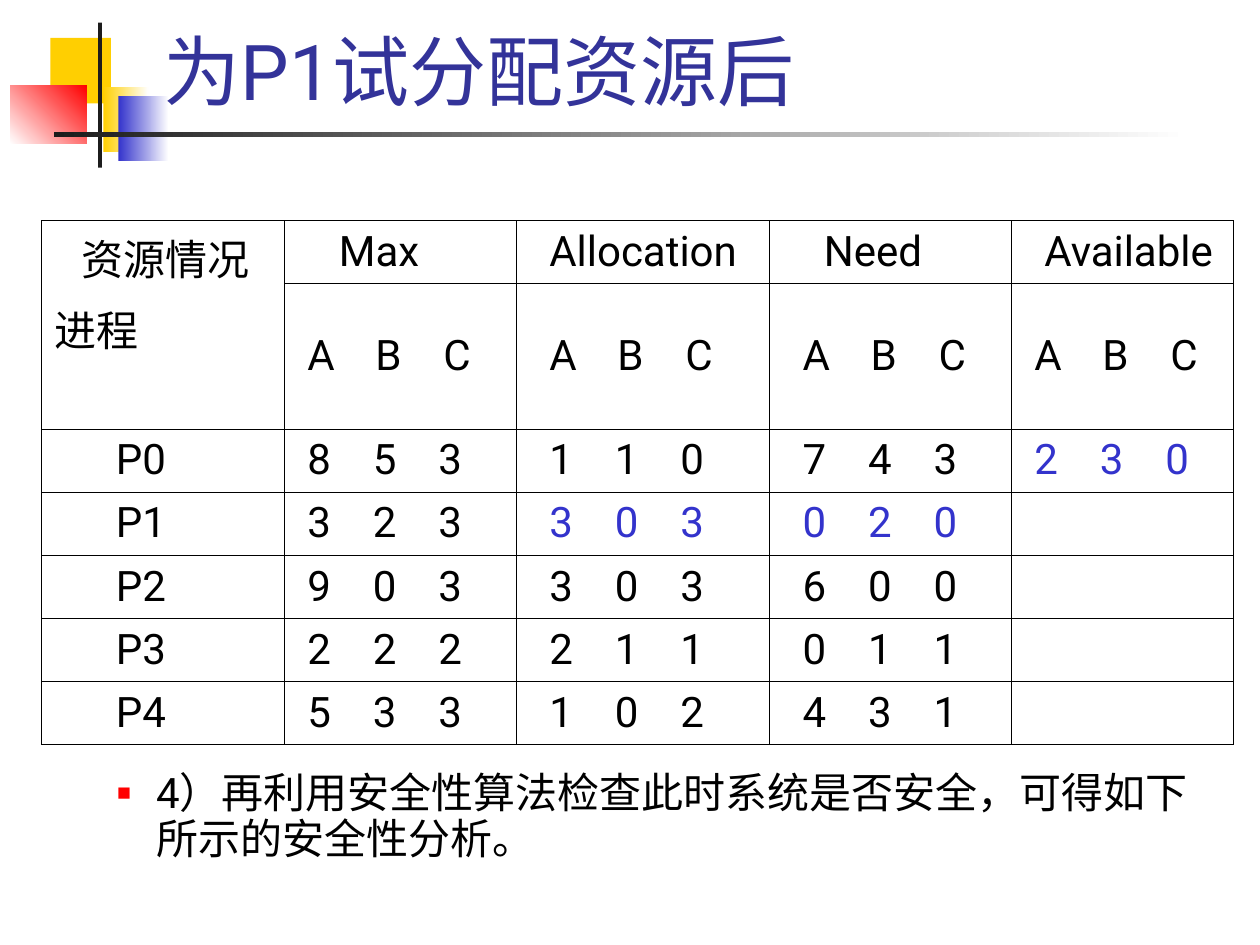
from lxml.etree import SubElement
from pptx import Presentation
from pptx.dml.color import RGBColor
from pptx.enum.shapes import MSO_SHAPE
from pptx.enum.text import MSO_ANCHOR, MSO_AUTO_SIZE, PP_ALIGN
from pptx.oxml.ns import qn
from pptx.util import Inches, Pt

FONT = "Roboto"
BLACK, BLUE = "000000", "3333CC"


def color(value):
    return RGBColor.from_string(value)


def apply(target, values):
    for name, value in values.items():
        setattr(target, name, value)


def write(para, text, size=24, ink=BLACK):
    span = para.add_run()
    span.text = text
    apply(span.font, {"size": Pt(size), "name": FONT, "bold": False})
    span.font.color.rgb = color(ink)


def place(shape, box):
    apply(shape, dict(zip(("left", "top", "width", "height"), map(Inches, box))))


def xml(parent, tag, **attributes):
    return SubElement(parent, qn(tag), {k: str(v) for k, v in attributes.items()})


def add_ornament(page, box):
    """Coloured squares and crossing bars beside the title."""
    left, top = box
    parts = [  # offset and size, colours, angle
        ((0.32, 0.12, 0.48, 0.52), ["FFCF01"], 0),
        ((0.74, 0.51, 0.36, 0.52), ["FFCF01", "FFFFFF"], 0),
        ((0.86, 0.58, 0.4, 0.52), [BLUE, "FFFFFF"], 0),
        ((0, 0.5, 0.61, 0.46), ["FFFFFF", "FF0000"], 45),
        ((0.7, 0, 0.03, 1.15), ["1C1C1C"], 0),
        ((0.35, 0.87, 9, 0.04), ["1C1C1C", "FFFFFF"], 0),
    ]
    for (x, y, width, height), colors, angle in parts:
        shape = page.shapes.add_shape(
            MSO_SHAPE.RECTANGLE, Inches(left + x), Inches(top + y),
            Inches(width), Inches(height))
        shape.shadow.inherit = False
        shape.line.fill.background()
        if len(colors) == 1:
            shape.fill.solid()
            shape.fill.fore_color.rgb = color(colors[0])
        else:
            shape.fill.gradient()
            shape.fill.gradient_angle = angle
            for stop, value in zip(shape.fill.gradient_stops, colors):
                stop.color.rgb = color(value)
        # Keep the ornament behind the title
        page.shapes.title.element.addprevious(shape.element)


def add_title(page, box, text):
    title = page.shapes.title
    place(title, box)
    apply(title.text_frame, {"vertical_anchor": MSO_ANCHOR.BOTTOM, "word_wrap": True,
                             "auto_size": MSO_AUTO_SIZE.NONE})
    para = title.text_frame.paragraphs[0]
    para.alignment = PP_ALIGN.LEFT
    write(para, text, 44, "333399")


def add_body(page, box, text):
    body = page.placeholders[1]
    place(body, box)
    apply(body.text_frame, {"vertical_anchor": MSO_ANCHOR.TOP, "word_wrap": True,
                            "auto_size": MSO_AUTO_SIZE.NONE})
    para = body.text_frame.paragraphs[0]
    apply(para, {"level": 1, "line_spacing": 0.9, "space_before": Pt(6)})
    write(para, text)
    # Small red square bullet
    props = para._p.get_or_add_pPr()
    apply_indent = {"marL": Inches(0.81), "indent": Inches(-0.31)}
    for name, value in apply_indent.items():
        props.set(name, str(value))
    xml(xml(props, "a:buClr"), "a:srgbClr", val="FF0000")
    xml(props, "a:buSzPct", val=55000)
    xml(props, "a:buChar", char="■")


def style_cell(cell):
    apply(cell, {"vertical_anchor": MSO_ANCHOR.MIDDLE,
                 "margin_left": Inches(0.1), "margin_right": Inches(0.1),
                 "margin_top": Inches(0.05), "margin_bottom": Inches(0.05)})
    props = cell._tc.get_or_add_tcPr()
    for side in ("a:lnL", "a:lnR", "a:lnT", "a:lnB"):
        line = xml(props, side, w=Pt(0.45))
        xml(xml(line, "a:solidFill"), "a:srgbClr", val=BLACK)
    cell.fill.background()


def fill_cell(cell, text, indent, ink=BLACK):
    cell.margin_left = Inches(0.1 + indent)
    para = cell.text_frame.paragraphs[0]
    para.space_before = Pt(6)
    write(para, text, ink=ink)


def fill_triple(cell, values, indent, pitch, ink=BLACK):
    """Three values on evenly spaced tab stops."""
    fill_cell(cell, "\t".join(values), indent, ink)
    tabs = xml(cell.text_frame.paragraphs[0]._p.get_or_add_pPr(), "a:tabLst")
    for stop in (1, 2):
        xml(tabs, "a:tab", pos=Inches(stop * pitch), algn="l")


def add_resource_table(page, box):
    widths = [1.93, 1.84, 2.01, 1.92, 1.76]
    heights = [0.5, 1.15] + [0.5] * 5
    heads = [("Max", 0.33), ("Allocation", 0.16), ("Need", 0.33), ("Available", 0.16)]
    indents = [0.08, 0.16, 0.16, 0.08]
    processes = [
        ["853", "110", "743", "230"],
        ["323", "303", "020"],
        ["903", "303", "600"],
        ["222", "211", "011"],
        ["533", "102", "431"],
    ]
    changed = {(0, 3), (1, 1), (1, 2)}  # values altered by the trial allocation

    frame = page.shapes.add_table(len(heights), len(widths), *map(Inches, box))
    table = frame.table
    apply(table, {"first_row": False, "horz_banding": False})
    for column, width in zip(table.columns, widths):
        column.width = Inches(width)
    # Rows share the height of the box
    for row, height in zip(table.rows, heights):
        row.height = Inches(height * box[3] / sum(heights))
    for cell in table.iter_cells():
        style_cell(cell)

    # Corner heading across both header rows
    corner = table.cell(0, 0)
    corner.merge(table.cell(1, 0))
    corner.vertical_anchor = MSO_ANCHOR.TOP
    fill_cell(corner, "资源情况", 0)
    corner.text_frame.paragraphs[0]._p.get_or_add_pPr().set("marL", str(Inches(0.22)))
    para = corner.text_frame.add_paragraph()
    para.space_before = Pt(6)
    write(para, "进程")

    # Column headings
    for col, ((name, indent), start) in enumerate(zip(heads, indents), 1):
        fill_cell(table.cell(0, col), name, indent)
        fill_triple(table.cell(1, col), "ABC", start, 0.54)

    # One row for each process
    for index, groups in enumerate(processes):
        fill_cell(table.cell(index + 2, 0), f"P{index}", 0.49)
        for col, (values, start) in enumerate(zip(groups, indents)):
            ink = BLUE if (index, col) in changed else BLACK
            fill_triple(table.cell(index + 2, col + 1), values, start, 0.52, ink)


def main():
    deck = Presentation()
    apply(deck, {"slide_width": Inches(10), "slide_height": Inches(7.5)})
    page = deck.slides.add_slide(deck.slide_layouts[1])
    add_ornament(page, (0.08, 0.18))
    add_title(page, (1.2, 0.17, 8.52, 0.8), "为P1试分配资源后")
    add_body(page, (0.33, 6.08, 9.42, 0.83),
             "4）再利用安全性算法检查此时系统是否安全，可得如下所示的安全性分析。")
    add_resource_table(page, (0.33, 1.75, 9.46, 4.16))
    deck.save("out.pptx")


if __name__ == "__main__":
    main()
